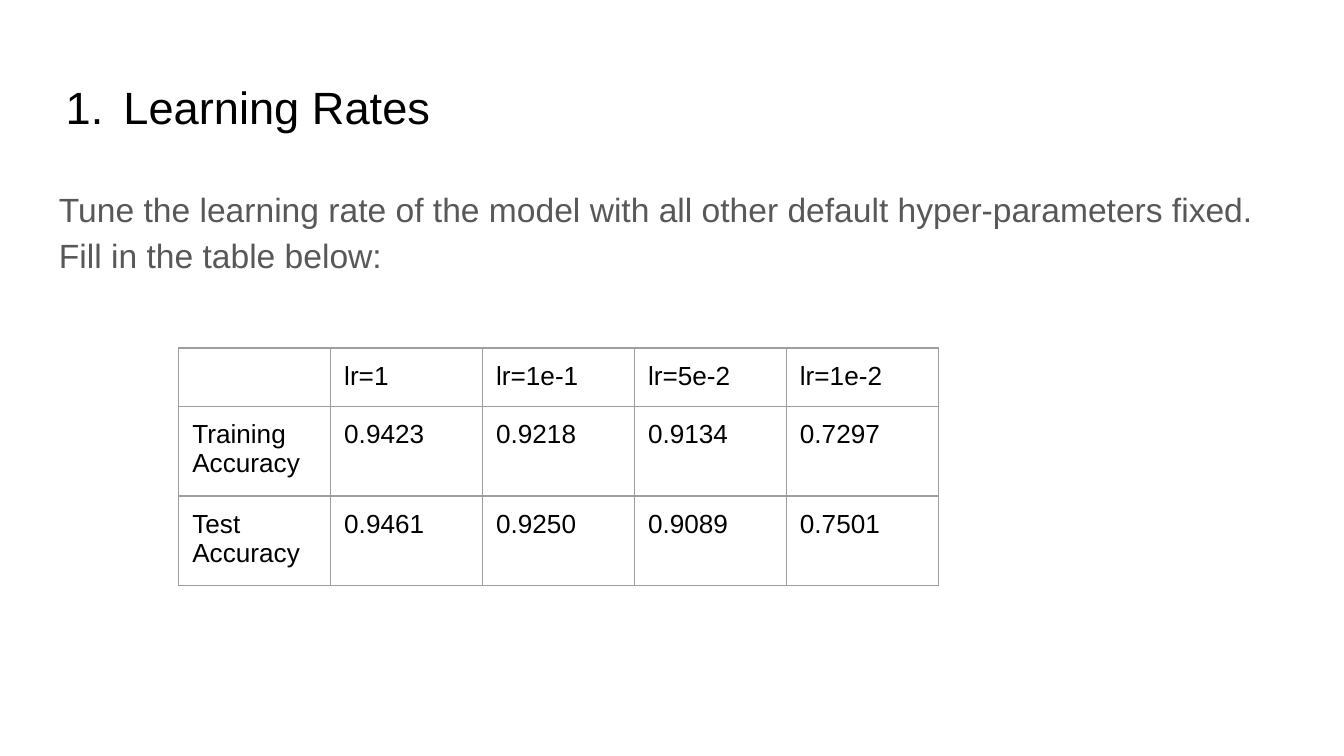
from pptx import Presentation
from pptx.dml.color import RGBColor as Rgb
from pptx.enum.text import MSO_ANCHOR as Anchor
from pptx.oxml.ns import qn
from pptx.util import Pt
from lxml.etree import SubElement

THEME = {
    "title": {"name": "Arial", "size": Pt(24.2), "bold": False, "color": Rgb(0, 0, 0)},
    "body": {"name": "Arial", "size": Pt(18), "bold": False, "color": Rgb(0x58, 0x58, 0x58)},
    "cell": {"name": "Arial", "size": Pt(14), "bold": False, "color": Rgb(0, 0, 0)},
    "border": "9E9E9E",
}
INSETS = {f"margin_{side}": Pt(7.2) for side in ("left", "top", "right", "bottom")}


def set_format(target, values):
    for key, value in values.items():
        if key == "color":
            target.color.rgb = value
        else:
            setattr(target, key, value)


def add_text(slide, top, height, text, style):
    frame = slide.shapes.add_textbox(Pt(24.5), Pt(top), Pt(671), Pt(height)).text_frame
    set_format(frame, {**INSETS, "word_wrap": True, "vertical_anchor": Anchor.TOP})
    paragraph = frame.paragraphs[0]
    run = paragraph.add_run()
    run.text = text
    set_format(run.font, style)
    return paragraph


deck = Presentation()
set_format(deck, {"slide_width": Pt(720), "slide_height": Pt(405)})
slide = deck.slides.add_slide(deck.slide_layouts[6])

# Numbered title
title = add_text(slide, 35.3, 45.4, "Learning Rates", THEME["title"])
numbering = title._p.get_or_add_pPr()
numbering.set("marL", str(Pt(34.56)))
numbering.set("indent", str(Pt(-30.96)))
SubElement(numbering, qn("a:buFont"), typeface="Arial")
SubElement(numbering, qn("a:buAutoNum"), type="arabicPeriod")

# Task description
task = add_text(
    slide, 90.7, 269.3,
    "Tune the learning rate of the model with all other default hyper-parameters fixed. "
    "Fill in the table below:",
    THEME["body"],
)
task.line_spacing = 1.15

# Accuracy table
results = [
    ["", "lr=1", "lr=1e-1", "lr=5e-2", "lr=1e-2"],
    ["Training Accuracy", "0.9423", "0.9218", "0.9134", "0.7297"],
    ["Test Accuracy", "0.9461", "0.9250", "0.9089", "0.7501"],
]
accuracy = slide.shapes.add_table(
    len(results), len(results[0]), Pt(95.8), Pt(186.5), Pt(407), Pt(90)
).table
set_format(accuracy, {"first_row": False, "horz_banding": False})

for r, values in enumerate(results):
    accuracy.rows[r].height = Pt(30)
    for c, value in enumerate(values):
        cell = accuracy.cell(r, c)
        set_format(cell, {**INSETS, "vertical_anchor": Anchor.TOP})
        paragraph = cell.text_frame.paragraphs[0]
        if value:
            run = paragraph.add_run()
            run.text = value
            set_format(run.font, THEME["cell"])
        else:
            # Keeps the empty corner from stretching its row
            SubElement(paragraph._p, qn("a:endParaRPr"), sz="1400")

        # Cell borders come before the fill
        properties = cell._tc.get_or_add_tcPr()
        for edge in ("lnL", "lnR", "lnT", "lnB"):
            line = SubElement(properties, qn(f"a:{edge}"), w=str(Pt(0.75)))
            fill = SubElement(line, qn("a:solidFill"))
            SubElement(fill, qn("a:srgbClr"), val=THEME["border"])
        cell.fill.background()

deck.save("out.pptx")
